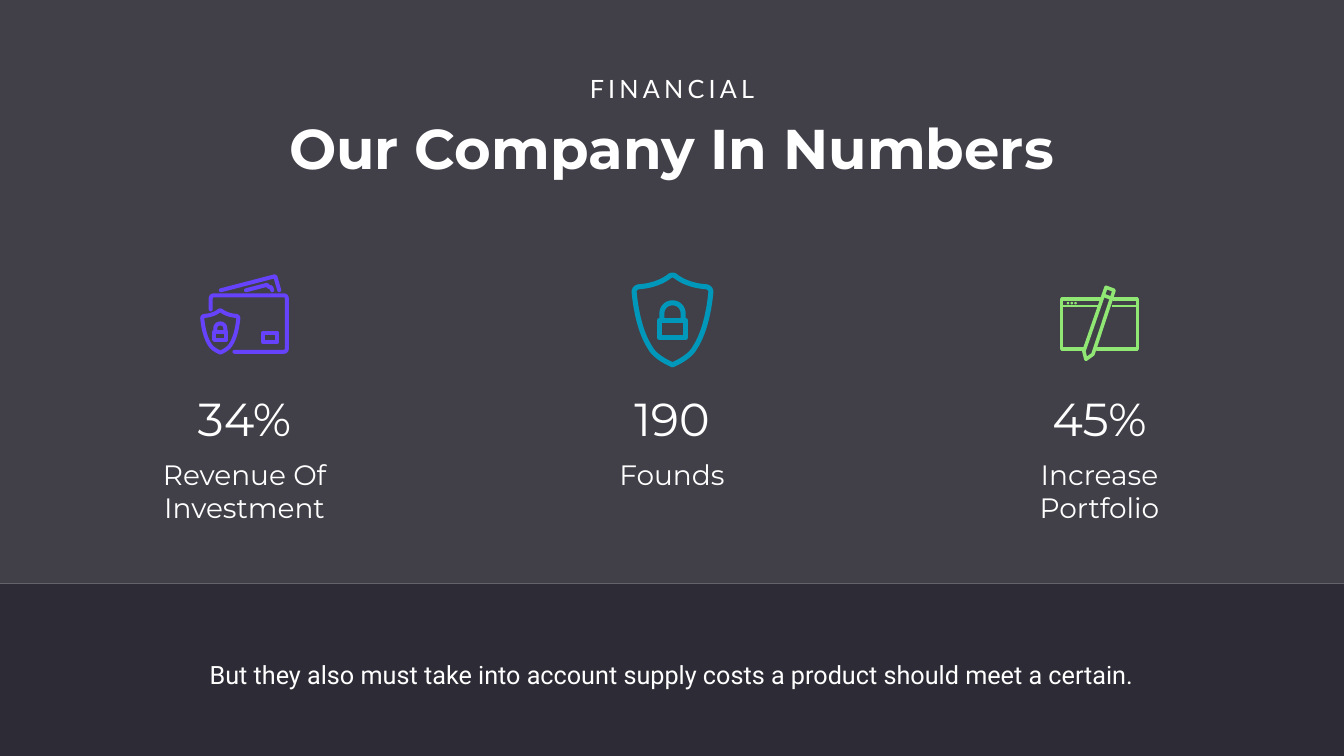
import math

import pptx
import pptx.dml.color
import pptx.enum.shapes
import pptx.enum.text
import pptx.oxml
import pptx.oxml.ns
import pptx.util
from pptx.util import Inches

WHITE, NIGHT = "FFFFFF", "2D2C36"
VIOLET, TEAL, GREEN = "6642FB", "0098BA", "90E774"
SHAPE = pptx.enum.shapes.MSO_SHAPE

# Right halves, from the top centre; a step is the control points and end of a curve.
SHIELD_HALF = [
    (0, 0),
    [(.03, 0), (.05, .01), (.06, .02)],
    [(.155, .095), (.355, .21), (.67, .23)],
    [(.72, .24), (.77, .28), (.76, .345)],
    [(.74, .56), (.67, 1.1), (.44, 1.445)],
    [(.34, 1.63), (.06, 1.75), (0, 1.78)],
]
SHACKLE_HALF = [(0, .55), [(.12, .55), (.21, .64), (.21, .76)], [(.21, .89)]]


def color(value):
    return pptx.dml.color.RGBColor.from_string(value)


def trace(start, *steps):
    """Turn Bezier steps of any degree into a list of points."""
    points = [start]
    for step in steps:
        controls = [points[-1], *step]
        degree = len(step)
        count = 1 if degree == 1 else 12
        for index in range(1, count + 1):
            t = index / count
            weights = [math.comb(degree, k) * t**k * (1 - t)**(degree - k)
                       for k in range(degree + 1)]
            points.append(tuple(sum(w * c[axis] for w, c in zip(weights, controls))
                                for axis in (0, 1)))
    return points


def mirrored(half):
    right = trace(*half)
    return [(-x, y) for x, y in reversed(right)] + right[1:]


def corners(left, top, width, height):
    return [(left, top), (left + width, top),
            (left + width, top + height), (left, top + height)]


class Painter:
    """Holds the text style and the current page."""

    def __init__(self, page):
        self.page = page
        self.style = {"name": "Montserrat", "bold": False}

    def filled(self, kind, left, top, width, height, fill, opacity=None):
        shape = self.page.shapes.add_shape(
            kind, Inches(left), Inches(top), Inches(width), Inches(height))
        shape.shadow.inherit = False
        shape.fill.solid()
        shape.fill.fore_color.rgb = color(fill)
        shape.line.fill.background()
        if opacity:
            tone = shape._element.spPr.find(".//" + pptx.oxml.ns.qn("a:srgbClr"))
            alpha = pptx.oxml.parse_xml(
                f'<a:alpha {pptx.oxml.ns.nsdecls("a")} val="{opacity * 1000}"/>')
            tone.append(alpha)

    def text(self, words, left, top, width, height, size, box=None,
             margins=(.1, .05), leading=None, tracking=None, **changes):
        box = box or self.page.shapes.add_textbox(0, 0, 0, 0)
        place = {"left": left, "top": top, "width": width, "height": height}
        for name, value in place.items():
            setattr(box, name, Inches(value))
        frame = box.text_frame
        side, edge = (Inches(margin) for margin in margins)
        layout = {"word_wrap": True,
                  "auto_size": pptx.enum.text.MSO_AUTO_SIZE.NONE,
                  "vertical_anchor": pptx.enum.text.MSO_ANCHOR.TOP,
                  "margin_left": side, "margin_right": side,
                  "margin_top": edge, "margin_bottom": edge}
        for name, value in layout.items():
            setattr(frame, name, value)
        para = frame.paragraphs[0]
        para.alignment = pptx.enum.text.PP_ALIGN.CENTER
        if leading:
            para.line_spacing = pptx.util.Pt(leading)
        span = para.add_run()
        span.text = words
        look = {**self.style, "size": pptx.util.Pt(size), **changes}
        for name, value in look.items():
            setattr(span.font, name, value)
        span.font.color.rgb = color(WHITE)
        if tracking:
            span._r.get_or_add_rPr().set("spc", str(tracking * 100))

    def stroke(self, points, tint, weight, closed=False):
        """Draw a round-ended outline through points given in inches."""
        places = [(Inches(x), Inches(y)) for x, y in points]
        builder = self.page.shapes.build_freeform(*places[0])
        builder.add_line_segments(places[1:], close=closed)
        shape = builder.convert_to_shape()
        shape.shadow.inherit = False
        shape.fill.background()
        shape.line.color.rgb = color(tint)
        shape.line.width = Inches(weight)
        line = shape._element.spPr.find(pptx.oxml.ns.qn("a:ln"))
        line.set("cap", "rnd")
        line.append(pptx.oxml.parse_xml(f'<a:round {pptx.oxml.ns.nsdecls("a")}/>'))

    def rule(self, start, end, tint, weight):
        ends = [Inches(value) for value in (*start, *end)]
        line = self.page.shapes.add_connector(
            pptx.enum.shapes.MSO_CONNECTOR.STRAIGHT, *ends)
        line.line.color.rgb = color(tint)
        line.line.width = Inches(weight)
        line._element.spPr.append(
            pptx.oxml.parse_xml(f'<a:effectLst {pptx.oxml.ns.nsdecls("a")}/>'))

    def shield(self, center, top, scale, tint, weight):
        parts = [(mirrored(SHIELD_HALF), True),
                 (corners(-.26, .89, .52, .35), True),
                 (mirrored(SHACKLE_HALF), False)]
        for points, closed in parts:
            placed = [(center + x * scale, top + y * scale) for x, y in points]
            self.stroke(placed, tint, weight, closed)

    def wallet(self, tint, weight):
        card = trace((4.18, 6.14), [(4.18, 5.93)], [(4.18, 5.86), (4.25, 5.86)],
                     [(5.62, 5.86)], [(5.69, 5.86), (5.69, 5.93)],
                     [(5.69, 6.91)], [(5.69, 6.98), (5.62, 6.98)], [(4.65, 6.98)])
        back_note = [(4.38, 5.76), (5.46, 5.48), (5.54, 5.76)]
        front_note = trace((4.88, 5.76), [(5.3, 5.65)],
                           [(5.32, 5.7), (5.38, 5.7)], [(5.4, 5.76)])
        for points in (card, back_note, front_note):
            self.stroke(points, tint, weight)
        self.stroke(corners(5.22, 6.6, .28, .19), tint, weight, closed=True)
        self.shield(4.37, 6.16, .47, tint, weight)

    def editor(self, tint, weight):
        left, right, top, bottom = 21.06, 22.56, 5.93, 6.92
        self.stroke([(21.82, top), (left, top), (left, bottom), (21.49, bottom)],
                    tint, weight)
        self.stroke([(22.09, top), (right, top), (right, bottom), (21.76, bottom)],
                    tint, weight)
        for start, end in ((left, 21.78), (22.05, right)):
            self.rule((start, 6.08), (end, 6.08), tint, .04)
        pencil = [(21.94, 5.7), (22.1, 5.76), (21.68, 7.03), (21.54, 7.13), (21.5, 6.97)]
        self.stroke(pencil, tint, weight, closed=True)
        self.rule((21.89, 5.86), (22.05, 5.92), tint, weight)
        for index in range(3):
            self.filled(SHAPE.OVAL, 21.16 + .075 * index, 5.99, .05, .05, tint)


def main():
    deck = pptx.Presentation()
    deck.slide_width, deck.slide_height = Inches(26.66), Inches(15)
    page = deck.slides.add_slide(deck.slide_layouts[5])
    painter = Painter(page)

    painter.filled(SHAPE.RECTANGLE, 0, 0, 26.68, 11.58, NIGHT, opacity=90)
    painter.filled(SHAPE.RECTANGLE, -.02, 11.58, 26.68, 3.42, NIGHT)

    title = page.shapes.title
    page.shapes._spTree.append(title._element)  # in front of the panels
    painter.text("Our Company In Numbers", 4.29, 2.21, 18.07, 1.45, 80,
                 box=title, bold=True)
    painter.text("FINANCIAL", 11.49, 1.4, 3.68, .71, 36, name="Lato", tracking=6)
    painter.text("But they also must take into account supply costs "
                 "a product should meet a certain.",
                 3.6, 12.97, 19.44, .84, 36, name="Roboto",
                 margins=(.24, .12), leading=43)

    figures = [("34%", "Revenue Of Investment", 1.45),
               ("190", "Founds", .77),
               ("45%", "Increase Portfolio", 1.45)]
    for column, (figure, caption, height) in enumerate(figures):
        center = 4.85 + 8.48 * column
        painter.text(figure, center - 1.45, 7.69, 2.9, 1.21, 66)
        painter.text(caption, center - 2.31, 9.02, 4.62, height, 40)

    painter.wallet(VIOLET, .08)
    painter.shield(13.34, 5.46, 1, TEAL, .1)
    painter.editor(GREEN, .07)
    deck.save("out.pptx")


if __name__ == "__main__":
    main()
